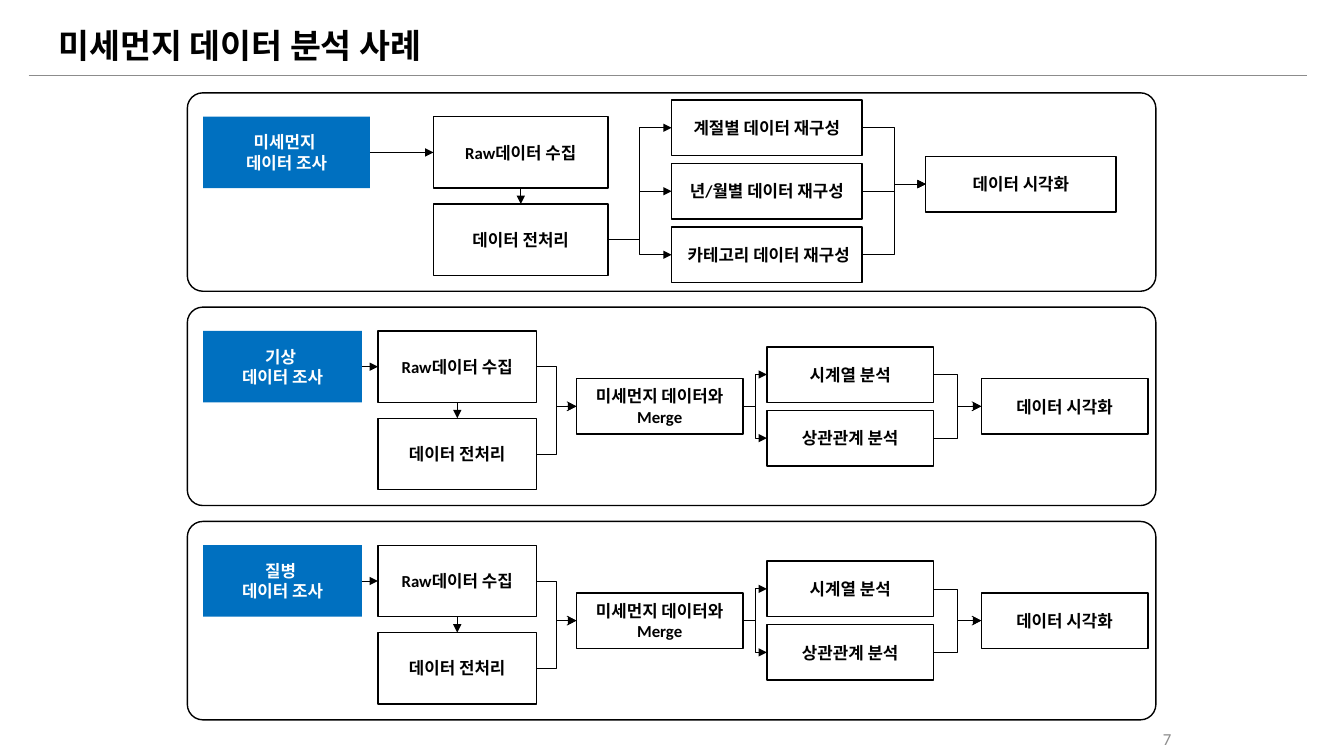
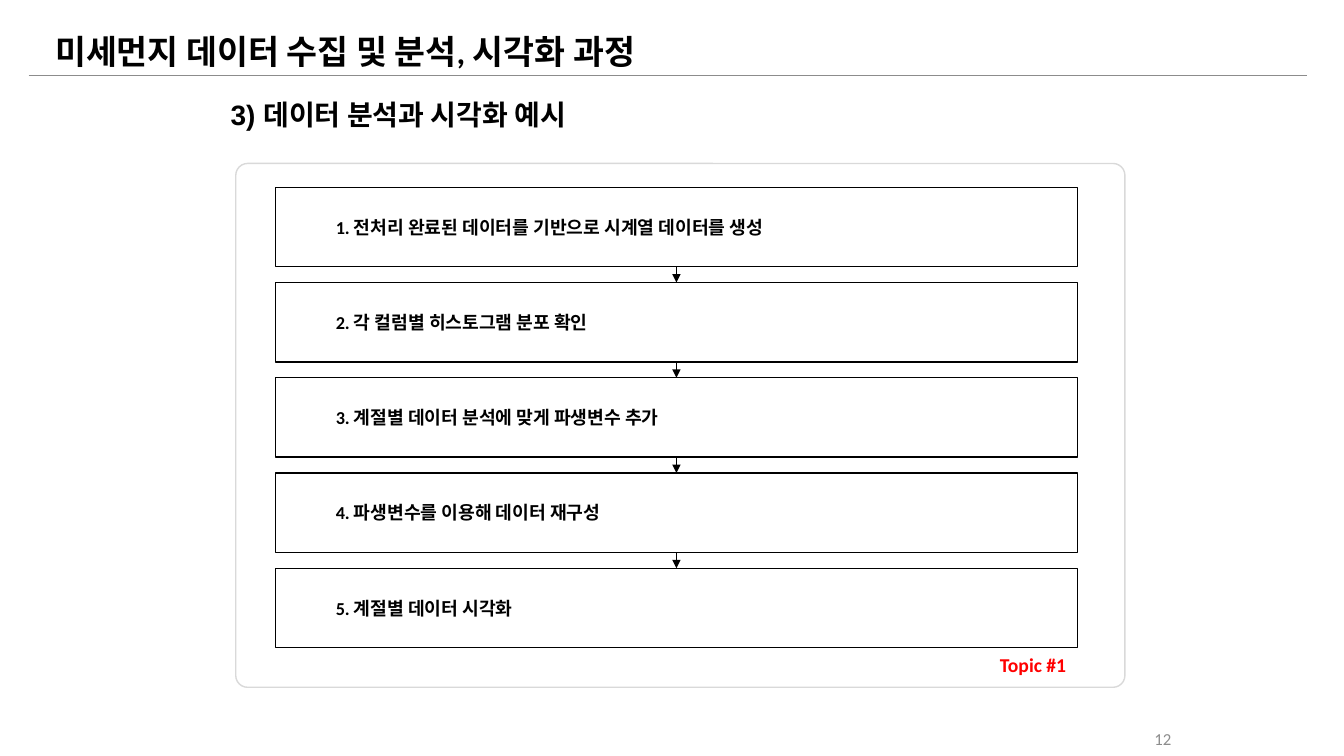
from itertools import pairwise
from lxml.etree import SubElement
from pptx import Presentation
from pptx.dml.color import RGBColor
from pptx.enum.shapes import MSO_CONNECTOR as CONN, MSO_SHAPE as SHAPE
from pptx.enum.text import MSO_ANCHOR as ANCHOR, PP_ALIGN as ALIGN
from pptx.oxml.ns import qn
from pptx.util import Inches, Mm, Pt

CELL = Mm(2)
BLACK, WHITE, BLUE, RED = "000000", "FFFFFF", "0070C0", "FF0000"
GREY, PALE = "8C8C8C", "D9D9D9"
TOP, LEFT, BOTTOM, RIGHT = range(4)


def rgb(color):
    return RGBColor.from_string(color)


def cells(*values):
    return [round(v * CELL) for v in values]


def inside(box, x, y, w, h):
    return box[0] + x, box[1] + y, w, h


def write(sp, text, size, color=BLACK, bold=True, font="Calibri",
          align=ALIGN.LEFT, anchor=ANCHOR.TOP, indent=0):
    tf = sp.text_frame
    tf.word_wrap = True
    tf.vertical_anchor = anchor
    for i, line in enumerate(text.split("\n")):
        p = tf.add_paragraph() if i else tf.paragraphs[0]
        p.alignment = align
        if indent:
            p.level = 1
            p._p.get_or_add_pPr().set("marL", str(indent))
        r = p.add_run()
        r.text = line
        r.font.name, r.font.size, r.font.bold = font, Pt(size), bold
        r.font.color.rgb = rgb(color)


def add_text(s, box, text, size, **style):
    write(s.shapes.add_textbox(*cells(*box)), text, size, **style)


def add_box(s, box, fill=None, line=BLACK, kind=SHAPE.RECTANGLE):
    sp = s.shapes.add_shape(kind, *cells(*box))
    sp.shadow.inherit = False
    if fill:
        sp.fill.solid()
        sp.fill.fore_color.rgb = rgb(fill)
    else:
        sp.fill.background()
    if line:
        sp.line.color.rgb = rgb(line)
        sp.line.width = Pt(1)
    else:
        sp.line.fill.background()
    return sp


def add_panel(s, box, line, radius):
    sp = add_box(s, box, line=line, kind=SHAPE.ROUNDED_RECTANGLE)
    sp.adjustments[0] = radius / min(box[2:])


def add_step(s, box, text, fill=None):
    sp = add_box(s, box, fill, None if fill else BLACK)
    write(sp, text, 12, WHITE if fill else BLACK,
          align=ALIGN.CENTER, anchor=ANCHOR.MIDDLE)
    return sp


def add_line(s, kind, ends, color):
    c = s.shapes.add_connector(kind, *cells(*ends))
    c.line.color.rgb = rgb(color)
    c.line.width = Pt(0.5)
    SubElement(c._element.spPr, qn("a:effectLst"))
    return c


def link(s, start, end, exit_side=RIGHT, entry_side=LEFT, bent=False, head="triangle"):
    c = add_line(s, CONN.ELBOW if bent else CONN.STRAIGHT, (0, 0, 0, 0), BLACK)
    c.begin_connect(start, exit_side)
    c.end_connect(end, entry_side)
    SubElement(c.line._get_or_add_ln(), qn("a:tailEnd"), type=head)


def link_down(s, start, end):
    link(s, start, end, BOTTOM, TOP)


def add_frame(prs, title, at, number):
    s = prs.slides.add_slide(prs.slide_layouts[6])
    add_line(s, CONN.STRAIGHT, (3.6, 9.5, 164.6, 9.5), GREY)
    add_text(s, (*at, 87.3, 6.4), title, 24)
    add_text(s, (120.2, 90.6, 28.6, 5.1), number, 12, color=GREY, bold=False,
             align=ALIGN.RIGHT, anchor=ANCHOR.MIDDLE)
    return s


def add_intake(s, box, topic, source_w, raw_x, raw_w):
    add_panel(s, box, BLACK, 1.95)
    source = add_step(s, inside(box, 2, 3, source_w, 9), f"{topic} \n데이터 조사", BLUE)
    raw = add_step(s, inside(box, raw_x, 3, raw_w, 9), "Raw데이터 수집")
    clean = add_step(s, inside(box, raw_x, 14, raw_w, 9), "데이터 전처리")
    link(s, source, raw)
    link_down(s, raw, clean)
    return raw, clean


def add_column(s, box, x, y, w, names):
    return [add_step(s, inside(box, x, y + 8 * i, w, 7), name)
            for i, name in enumerate(names)]


def add_dust_flow(s, box):
    raw, clean = add_intake(s, box, "미세먼지", 21, 31, 22)
    groups = add_column(s, box, 61, 0.9, 24, (
        "계절별 데이터 재구성", "년/월별 데이터 재구성", " 카테고리 데이터 재구성"))
    chart = add_step(s, inside(box, 93, 8, 24, 7), "데이터 시각화")
    for group in groups:
        link(s, clean, group, bent=True)
        link(s, group, chart, bent=True)


def add_merge_flow(s, box, topic):
    intake = add_intake(s, box, topic, 20, 24, 20)
    merge = add_step(s, inside(box, 49, 9, 21, 7), "미세먼지 데이터와\nMerge")
    analyses = add_column(s, box, 73, 5, 21, ("시계열 분석", "상관관계 분석"))
    chart = add_step(s, inside(box, 100, 9, 21, 7), "데이터 시각화")
    heads = ("triangle", "arrow")
    for step, analysis, head in zip(intake, analyses, heads):
        link(s, step, merge, bent=True, head=head)
        link(s, merge, analysis, bent=True)
        link(s, analysis, chart, bent=True, head=head)


def add_process(s, box, steps, topic):
    add_panel(s, box, PALE, 1.5)
    rows = []
    for i, step in enumerate(steps):
        sp = add_box(s, inside(box, 5, 3 + 12 * i, 101, 10))
        write(sp, f"{i + 1}. {step}", 13, anchor=ANCHOR.MIDDLE, indent=Inches(0.5))
        rows.append(sp)
    for upper, lower in pairwise(rows):
        link_down(s, upper, lower)
    add_text(s, inside(box, 95, 61, 24, 4.3), topic, 14, color=RED)


def build_cases(prs):
    s = add_frame(prs, "미세먼지 데이터 분석 사례", (6.1, 2.5), "7")
    panels = [(23.6, 11.7 + 27 * i, 122, 25) for i in range(3)]
    add_dust_flow(s, panels[0])
    for box, topic in zip(panels[1:], ("기상", "질병")):
        add_merge_flow(s, box, topic)


def build_process(prs):
    s = add_frame(prs, "미세먼지 데이터 수집 및 분석, 시각화 과정", (5.7, 3.3), "12")
    add_text(s, (27.8, 11.7, 116.2, 5.6), "3) 데이터 분석과 시각화 예시", 20, font="Arial")
    add_process(s, (29.7, 20.6, 112, 66), (
        "전처리 완료된 데이터를 기반으로 시계열 데이터를 생성",
        "각 컬럼별 히스토그램 분포 확인",
        "계절별 데이터 분석에 맞게 파생변수 추가",
        "파생변수를 이용해 데이터 재구성",
        "계절별 데이터 시각화"), "Topic #1")


def main():
    prs = Presentation()
    prs.slide_width, prs.slide_height = Inches(13.33), Inches(7.5)
    build_cases(prs)
    build_process(prs)
    prs.save("out.pptx")


if __name__ == "__main__":
    main()
